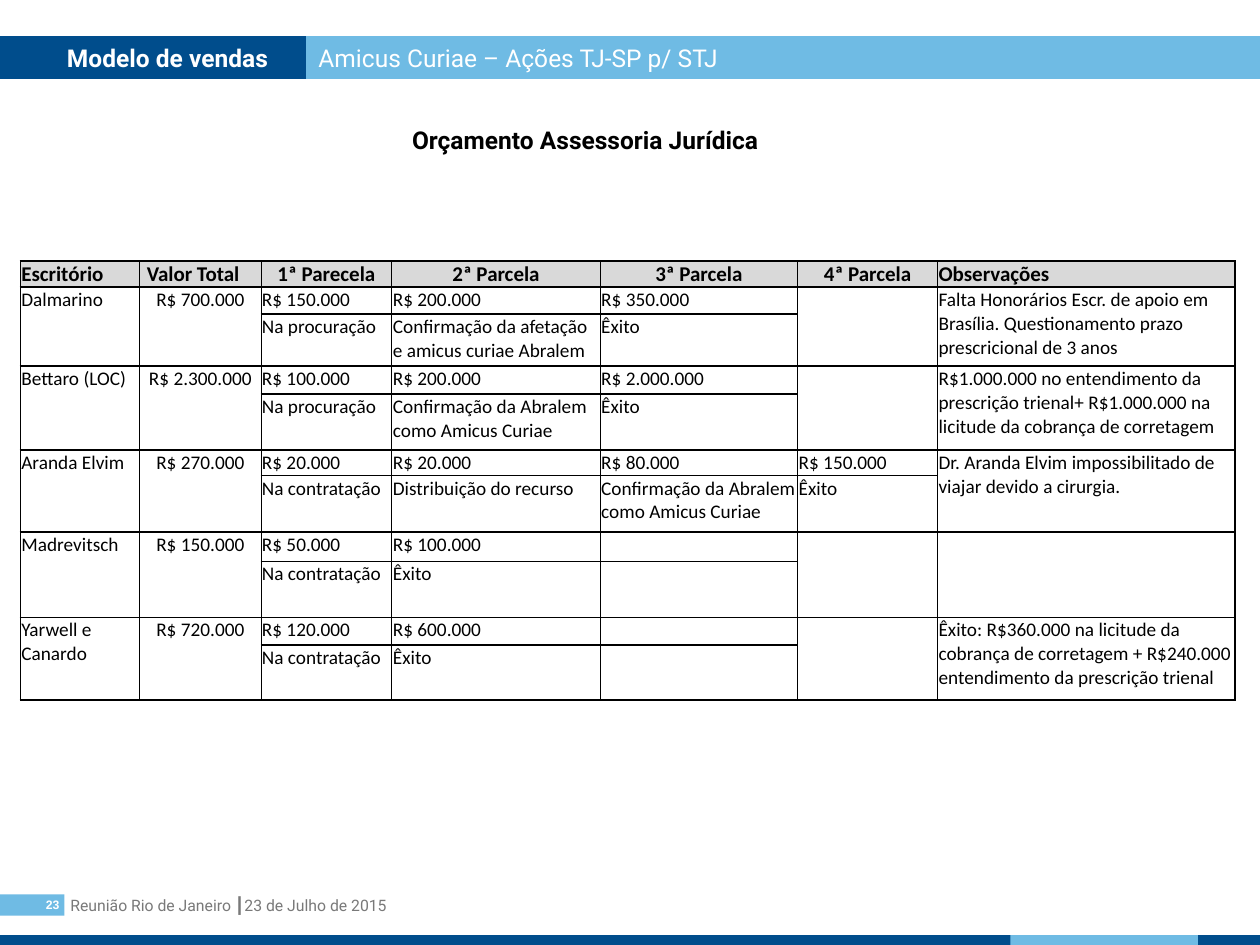
from dataclasses import dataclass
from typing import Optional

from lxml.etree import SubElement
from pptx import Presentation
from pptx.dml.color import RGBColor
from pptx.enum.shapes import MSO_SHAPE
from pptx.enum.text import MSO_ANCHOR, MSO_AUTO_SIZE, PP_ALIGN
from pptx.oxml.ns import qn
from pptx.slide import Slide
from pptx.table import Table, _Cell
from pptx.text.text import TextFrame
from pptx.util import Cm, Pt

NAVY = RGBColor(0x00, 0x4D, 0x8C)
SKY = RGBColor(0x6F, 0xBB, 0xE4)
WHITE = RGBColor(0xFF, 0xFF, 0xFF)
BLACK = RGBColor(0x00, 0x00, 0x00)
GRAY = RGBColor(0x79, 0x79, 0x79)
HEADER_GRAY = RGBColor(0xD9, 0xD9, 0xD9)

NO_GRID_STYLE = "{2D5ABB26-0587-4C30-8999-92F81FD0307C}"
THIN, THICK = 0.5, 1
LEFT, CENTER, RIGHT = PP_ALIGN.LEFT, PP_ALIGN.CENTER, PP_ALIGN.RIGHT


@dataclass
class TextStyle:
    size: float
    font: str
    color: RGBColor
    bold: bool = False
    align: PP_ALIGN = LEFT


@dataclass
class Band:
    """A filled rectangle, measured in centimetres, with optional text."""
    left: float
    top: float
    width: float
    height: float
    color: RGBColor
    text: str = ""
    style: Optional[TextStyle] = None
    margins: tuple = (0.25, 0.13, 0.25, 0.13)
    anchor: MSO_ANCHOR = MSO_ANCHOR.TOP


@dataclass
class Column:
    title: str
    width: float
    align: PP_ALIGN = LEFT


@dataclass
class Installment:
    amount: str
    condition: str


@dataclass
class Quote:
    firm: str
    total: str
    installments: list
    remark: str
    heights: tuple


BANDS = [
    Band(0, 18.03, 1.3, 0.43, SKY, "23", TextStyle(7, "Arial", WHITE, True, RIGHT),
         (0, 0, 0.1, 0), MSO_ANCHOR.MIDDLE),
    Band(0, 18.85, 25.4, 0.2, NAVY),
    Band(20.37, 18.85, 3.78, 0.2, SKY),
    Band(0, 0.73, 6.17, 0.86, NAVY, "Modelo de vendas",
         TextStyle(14, "Roboto", WHITE, True), (1.35, 0.13, 0.1, 0.13)),
    Band(6.17, 0.73, 19.23, 0.86, SKY, "Amicus Curiae – Ações TJ-SP p/ STJ",
         TextStyle(14, "Roboto", WHITE)),
]

COLUMNS = [
    Column("Escritório", 2.41),
    Column("Valor Total", 2.44),
    Column("1ª Parecela", 2.64, CENTER),
    Column("2ª Parcela", 4.2, CENTER),
    Column("3ª Parcela", 3.98, CENTER),
    Column("4ª Parcela", 2.82, CENTER),
    Column("Observações", 6),
]
HEADER_HEIGHT = 0.53
TOTAL_COLUMN, FIRST_INSTALLMENT, REMARK_COLUMN = 1, 2, 6

QUOTES = [
    Quote("Dalmarino", "R$ 700.000", [
        Installment("R$ 150.000", "Na procuração"),
        Installment("R$ 200.000", "Confirmação da afetação e amicus curiae Abralem"),
        Installment("R$ 350.000", "Êxito"),
    ], "Falta Honorários Escr. de apoio em Brasília. Questionamento prazo "
       "prescricional de 3 anos", (0.54, 1.05)),
    Quote("Bettaro (LOC)", "R$ 2.300.000", [
        Installment("R$ 100.000", "Na procuração"),
        Installment("R$ 200.000", "Confirmação da Abralem como Amicus Curiae"),
        Installment("R$ 2.000.000", "Êxito"),
    ], "R$1.000.000 no entendimento da prescrição trienal+ R$1.000.000 na "
       "licitude da cobrança de corretagem", (0.56, 1.13)),
    Quote("Aranda Elvim", "R$ 270.000", [
        Installment("R$ 20.000", "Na contratação"),
        Installment("R$ 20.000", "Distribuição do recurso"),
        Installment("R$ 80.000", "Confirmação da Abralem como Amicus Curiae"),
        Installment("R$ 150.000", "Êxito"),
    ], "Dr. Aranda Elvim impossibilitado de viajar devido a cirurgia.", (0.52, 1.14)),
    Quote("Madrevitsch", "R$ 150.000", [
        Installment("R$ 50.000", "Na contratação"),
        Installment("R$ 100.000", "Êxito"),
    ], "", (0.59, 1.13)),
    Quote("Yarwell e Canardo", "R$ 720.000", [
        Installment("R$ 120.000", "Na contratação"),
        Installment("R$ 600.000", "Êxito"),
    ], "Êxito: R$360.000 na licitude da cobrança de corretagem + R$240.000 "
       "entendimento da prescrição trienal", (0.56, 1.1)),
]


def write(text_frame: TextFrame, text: str, style: TextStyle) -> None:
    text_frame.text = text
    paragraph = text_frame.paragraphs[0]
    paragraph.alignment = style.align
    for run in paragraph.runs:
        run.font.size = Pt(style.size)
        run.font.name = style.font
        run.font.bold = style.bold
        run.font.color.rgb = style.color
    if not text:
        SubElement(paragraph._p, qn("a:endParaRPr"), sz=str(int(style.size * 100)))


def set_margins(target, margins: tuple) -> None:
    target.margin_left, target.margin_top, target.margin_right, target.margin_bottom = map(Cm, margins)


def add_band(slide: Slide, band: Band) -> None:
    shape = slide.shapes.add_shape(MSO_SHAPE.RECTANGLE, Cm(band.left), Cm(band.top),
                                   Cm(band.width), Cm(band.height))
    shape.shadow.inherit = False
    shape.fill.solid()
    shape.fill.fore_color.rgb = band.color
    shape.line.fill.background()
    if band.style:
        set_margins(shape.text_frame, band.margins)
        shape.text_frame.vertical_anchor = band.anchor
        write(shape.text_frame, band.text, band.style)


def add_heading(slide: Slide) -> None:
    title = slide.shapes.title
    title.left, title.top, title.width, title.height = Cm(0.1), Cm(2.34), Cm(23.4), Cm(0.86)
    text_frame = title.text_frame
    text_frame.auto_size = MSO_AUTO_SIZE.NONE
    text_frame.vertical_anchor = MSO_ANCHOR.TOP
    write(text_frame, "Orçamento Assessoria Jurídica", TextStyle(14, "Roboto", BLACK, True, CENTER))
    text_frame.paragraphs[0].line_spacing = 1.1


def add_footer(slide: Slide) -> None:
    text_box = slide.shapes.add_textbox(Cm(1.17), Cm(17.93), Cm(18.54), Cm(0.64))
    text_box.text_frame.word_wrap = True
    write(text_box.text_frame, "Reunião Rio de Janeiro ┃23 de Julho de 2015",
          TextStyle(9, "Roboto", GRAY))


def set_borders(cell: _Cell, column: int, top: bool, bottom: bool) -> None:
    widths = {
        "a:lnL": THICK if column == 0 else THIN,
        "a:lnR": THICK if column == REMARK_COLUMN else THIN,
        "a:lnT": THICK if top else 0,
        "a:lnB": THICK if bottom else 0,
    }
    properties = cell._tc.get_or_add_tcPr()
    for tag, width in widths.items():
        if width:
            line = SubElement(properties, qn(tag), w=str(Pt(width)))
            fill = SubElement(line, qn("a:solidFill"))
            SubElement(fill, qn("a:srgbClr"), val=str(BLACK))


def fill_cell(table: Table, row: int, column: int, text: str, align: PP_ALIGN,
              top: bool, bottom: bool) -> None:
    cell = table.cell(row, column)
    header = row == 0
    write(cell.text_frame, text, TextStyle(12 if header else 11, "Calibri", BLACK, header, align))
    set_margins(cell, (0.14 if header and column == TOTAL_COLUMN else 0.02, 0.02, 0.02, 0))
    set_borders(cell, column, top, bottom)
    if header:
        cell.fill.solid()
        cell.fill.fore_color.rgb = HEADER_GRAY
    else:
        cell.fill.background()


def fill_quote(table: Table, row: int, quote: Quote) -> None:
    """Fill two rows: amounts above, conditions below; single values span both."""
    count = len(quote.installments)
    spare = [""] * (REMARK_COLUMN - FIRST_INSTALLMENT - count)
    amounts = [item.amount for item in quote.installments] + spare
    conditions = [item.condition for item in quote.installments] + spare
    upper = [quote.firm, quote.total, *amounts, quote.remark]
    lower = ["", "", *conditions, ""]
    for column, (first, second) in enumerate(zip(upper, lower)):
        align = CENTER if column == TOTAL_COLUMN else LEFT
        merged = not second and not (column == FIRST_INSTALLMENT + 2)
        fill_cell(table, row, column, first, align, True, merged)
        fill_cell(table, row + 1, column, second, align, False, True)
        if merged:
            table.cell(row, column).merge(table.cell(row + 1, column))


def add_quote_table(slide: Slide) -> None:
    heights = [HEADER_HEIGHT] + [height for quote in QUOTES for height in quote.heights]
    widths = [column.width for column in COLUMNS]
    frame = slide.shapes.add_table(len(heights), len(widths), Cm(0.41), Cm(5.26),
                                   Cm(sum(widths)), Cm(sum(heights)))
    table = frame.table
    table._tbl.tblPr.find(qn("a:tableStyleId")).text = NO_GRID_STYLE
    for row, height in zip(table.rows, heights):
        row.height = Cm(height)
    for index, column in enumerate(COLUMNS):
        table.columns[index].width = Cm(column.width)
        fill_cell(table, 0, index, column.title, column.align, True, True)
    for index, quote in enumerate(QUOTES):
        fill_quote(table, 1 + 2 * index, quote)


def main() -> None:
    presentation = Presentation()
    presentation.slide_width, presentation.slide_height = Cm(25.4), Cm(19.05)
    slide = presentation.slides.add_slide(presentation.slide_layouts[5])
    add_footer(slide)
    for band in BANDS:
        add_band(slide, band)
    add_heading(slide)
    add_quote_table(slide)
    presentation.save("out.pptx")


if __name__ == "__main__":
    main()
